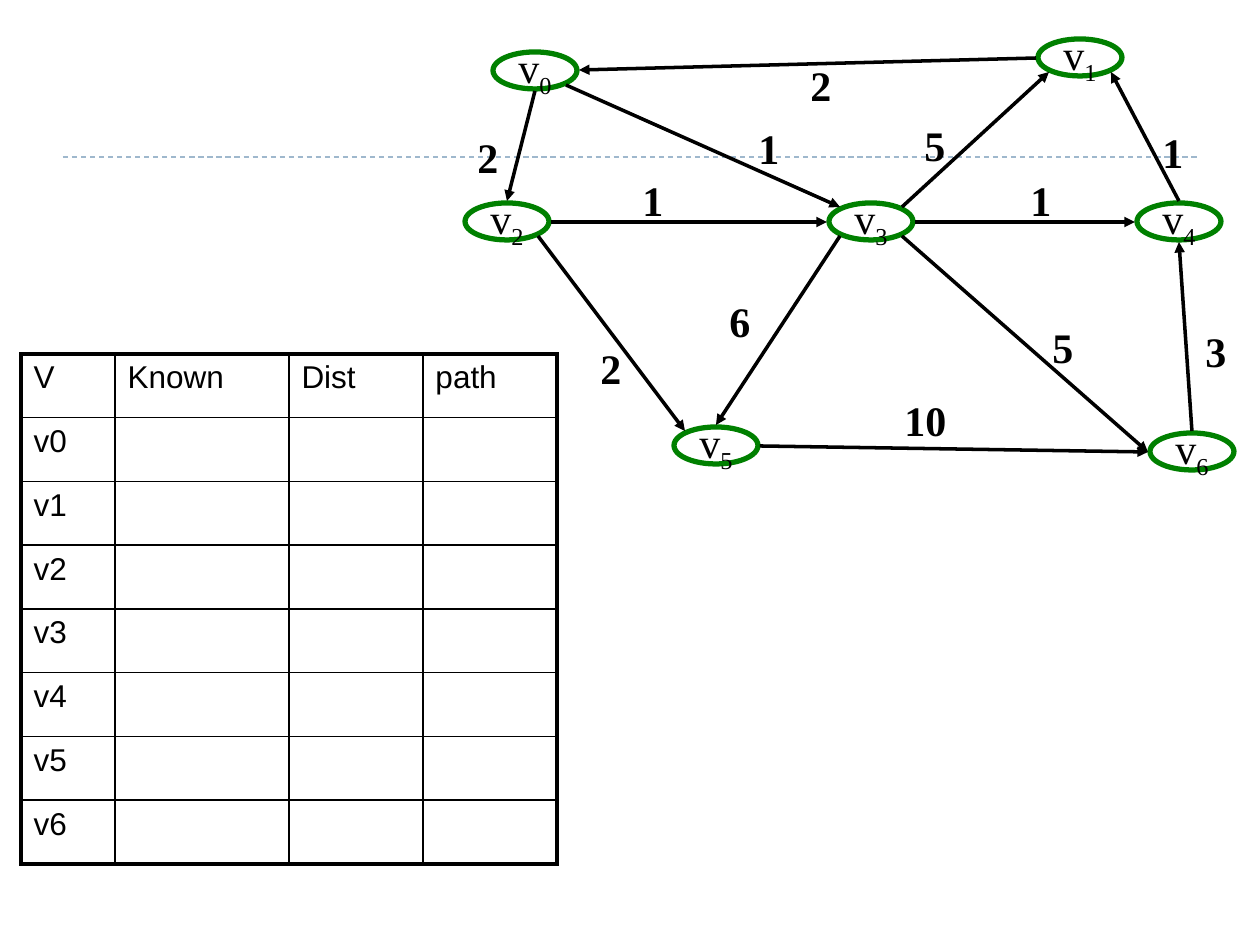
"""Builds a slide with a weighted directed graph and an empty shortest-path table."""
from math import cos, radians, sin

from lxml.etree import SubElement
from pptx import Presentation
from pptx.dml.color import RGBColor
from pptx.enum.dml import MSO_LINE_DASH_STYLE as Dash
from pptx.enum.shapes import MSO_CONNECTOR as Connector, MSO_SHAPE as Shape
from pptx.enum.text import MSO_ANCHOR as Anchor, MSO_AUTO_SIZE as AutoSize, PP_ALIGN as Align
from pptx.oxml.ns import qn
from pptx.util import Emu, Pt

PIXEL = 914400 // 126
NODE_W, NODE_H, GAP = 84, 37, 2
ANGLES = {"right": 0, "bottom right": 45, "bottom": 90, "bottom left": 135,
          "left": 180, "top left": 225, "top": 270, "top right": 315}


def px(*lengths):
    return [Emu(round(length * PIXEL)) for length in lengths]


def color(value):
    return RGBColor.from_string(value)


class GraphSlide:
    black, white, green, gray = "000000", "FFFFFF", "008000", "9FB8CD"
    serif, sans = "Times New Roman", "Arial"

    def __init__(self, slide):
        self.slide = slide
        self.shapes = slide.shapes

    def style_font(self, paragraph, name, size, bold=False):
        font = paragraph.font
        font.name, font.size, font.bold = name, Pt(size), bold
        font.color.rgb = color(self.black)

    def line(self, start, end, shade, width, dash=None, arrow=False):
        connector = self.shapes.add_connector(Connector.STRAIGHT, *px(*start, *end))
        connector.line.color.rgb = color(shade)
        connector.line.width = Pt(width)
        if dash:
            connector.line.dash_style = dash
        properties = connector._element.spPr
        if arrow:
            SubElement(properties.find(qn("a:ln")), qn("a:tailEnd"), type="triangle")
        SubElement(properties, qn("a:effectLst"))

    def node(self, left, top, index):
        oval = self.shapes.add_shape(Shape.OVAL, *px(left, top, NODE_W, NODE_H))
        oval.shadow.inherit = False
        oval.fill.background()
        oval.line.color.rgb = color(self.green)
        oval.line.width = Pt(3)
        frame = oval.text_frame
        frame.word_wrap = False
        frame.vertical_anchor = Anchor.MIDDLE
        paragraph = frame.paragraphs[0]
        paragraph.alignment = Align.CENTER
        self.style_font(paragraph, self.serif, 24)
        paragraph.add_run().text = "v"
        subscript = paragraph.add_run()
        subscript.text = str(index)
        subscript._r.get_or_add_rPr().set("baseline", "-25000")

    def weight(self, left, top, text):
        box = self.shapes.add_textbox(*px(left, top, 27 + 20 * len(text), 63))
        frame = box.text_frame
        frame.word_wrap = False
        frame.auto_size = AutoSize.SHAPE_TO_FIT_TEXT
        frame.text = text
        self.style_font(frame.paragraphs[0], self.serif, 24, bold=True)

    def border(self, cell, side, width):
        edge = SubElement(cell._tc.get_or_add_tcPr(), qn(f"a:{side}"), w=str(Pt(width)))
        fill = SubElement(edge, qn("a:solidFill"))
        SubElement(fill, qn("a:srgbClr"), val=self.black)

    def table(self, left, top, widths, height, rows):
        last_row, last_column = len(rows) - 1, len(widths) - 1
        table = self.shapes.add_table(len(rows), len(widths),
                                      *px(left, top, sum(widths), height)).table
        table.first_row = table.horz_banding = False
        for column, width in zip(table.columns, px(*widths)):
            column.width = width
        for r, row in enumerate(rows):
            for c, text in enumerate(row):
                cell = table.cell(r, c)
                outer = {"lnL": c == 0, "lnR": c == last_column,
                         "lnT": r == 0, "lnB": r == last_row}
                for side, is_outer in outer.items():
                    self.border(cell, side, 2.25 if is_outer else 1)
                cell.fill.solid()
                cell.fill.fore_color.rgb = color(self.white)
                cell.text = text
                paragraph = cell.text_frame.paragraphs[0]
                paragraph.alignment = Align.JUSTIFY
                self.style_font(paragraph, self.sans, 18)


NODES = [(493, 52), (1038, 39), (465, 203), (829, 203), (1137, 203), (674, 427), (1150, 433)]
EDGES = [
    (0, "bottom right", 3, "top left", "1", (746, 116)),
    (3, "bottom right", 6, "left", "5", (1040, 315)),
    (3, "right", 4, "left", "1", (1018, 168)),
    (5, "right", 6, "left", "10", (892, 388)),
    (0, "bottom", 2, "top", "2", (465, 125)),
    (2, "bottom right", 5, "top left", "2", (588, 336)),
    (3, "bottom left", 5, "top", "6", (717, 289)),
    (4, "top", 1, "bottom right", "1", (1150, 120)),
    (2, "right", 3, "left", "1", (630, 168)),
    (1, "left", 0, "right", "2", (798, 53)),
    (3, "top right", 1, "bottom left", "5", (912, 113)),
    (6, "top", 4, "bottom", "3", (1193, 319)),
]


def site(index, side):
    left, top = NODES[index]
    angle = radians(ANGLES[side])
    return (round(left + NODE_W / 2 + (NODE_W / 2 + GAP) * cos(angle)),
            round(top + NODE_H / 2 + (NODE_H / 2 + GAP) * sin(angle)))


deck = Presentation()
deck.slide_width, deck.slide_height = px(1260, 945)
graph = GraphSlide(deck.slides.add_slide(deck.slide_layouts[6]))

graph.line((63, 157), (1197, 157), graph.gray, 0.75, dash=Dash.DASH)
header = ["V", "Known", "Dist", "path"]
graph.table(21, 354, [94, 174, 134, 134], 510,
            [header] + [[f"v{i}", "", "", ""] for i in range(len(NODES))])
for number, (x, y) in enumerate(NODES):
    graph.node(x, y, number)
for source, exit_side, target, entry_side, cost, place in EDGES:
    graph.line(site(source, exit_side), site(target, entry_side), graph.black, 2, arrow=True)
    graph.weight(*place, cost)

deck.save("out.pptx")
